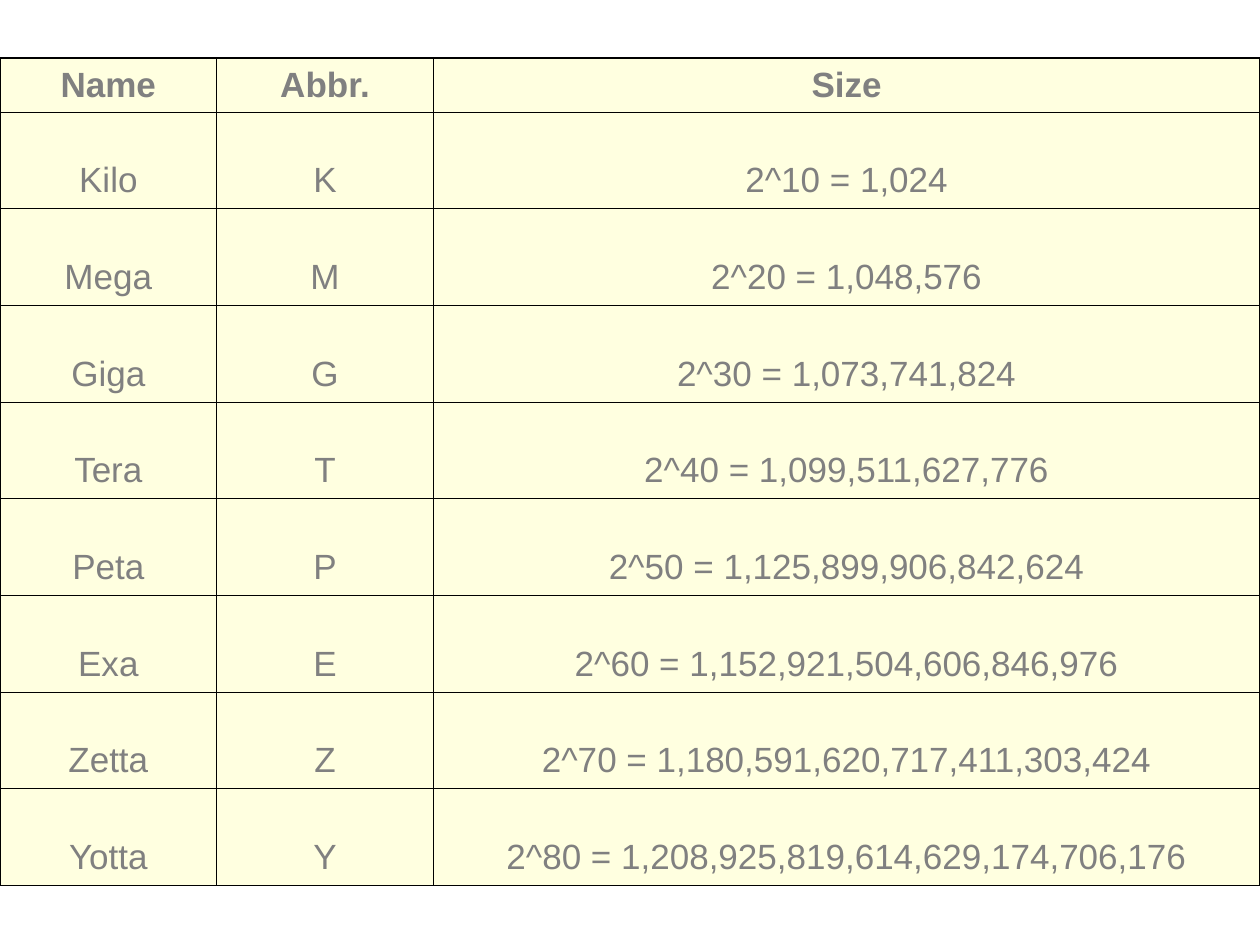
from dataclasses import dataclass

from lxml import etree
from pptx import Presentation
from pptx import util as u
from pptx.dml.color import RGBColor
from pptx.enum import text
from pptx.oxml import ns


@dataclass(frozen=True)
class Theme:
    font: str = "Arial"
    size: float = 20
    ink: str = "808080"
    fill: str = "FFFFE0"
    border: str = "000000"
    border_width: float = 0.75


class SlideBuilder:
    def __init__(self, slide, theme):
        self.slide = slide
        self.theme = theme

    def table(self, rows, left, top, widths, heights, body_top_margin):
        frame = self.slide.shapes.add_table(
            len(rows), len(widths), u.Inches(left), u.Inches(top),
            u.Inches(sum(widths)), u.Inches(sum(heights)))
        table = frame.table
        table.horz_banding = False
        for column, width in zip(table.columns, widths):
            column.width = u.Inches(width)
        for index, (row, height, values) in enumerate(zip(table.rows, heights, rows)):
            row.height = u.Inches(height)
            for cell, value in zip(row.cells, values):
                self.cell(cell, value, is_header=index == 0)
                if index:
                    cell.margin_top = u.Inches(body_top_margin)

    def cell(self, cell, value, is_header):
        cell.text = value
        cell.vertical_anchor = text.MSO_ANCHOR.MIDDLE
        paragraph = cell.text_frame.paragraphs[0]
        paragraph.alignment = text.PP_ALIGN.CENTER
        font = paragraph.runs[0].font
        formats = {"name": self.theme.font, "size": u.Pt(self.theme.size), "bold": is_header}
        for name, setting in formats.items():
            setattr(font, name, setting)
        font.color.rgb = RGBColor.from_string(self.theme.ink)
        self.borders(cell)
        cell.fill.solid()
        cell.fill.fore_color.rgb = RGBColor.from_string(self.theme.fill)

    def borders(self, cell):
        properties = cell._tc.get_or_add_tcPr()
        for side in ("a:lnL", "a:lnR", "a:lnT", "a:lnB"):
            line = etree.SubElement(properties, ns.qn(side), w=str(u.Pt(self.theme.border_width)))
            fill = etree.SubElement(line, ns.qn("a:solidFill"))
            etree.SubElement(fill, ns.qn("a:srgbClr"), val=self.theme.border)


def main():
    presentation = Presentation()
    presentation.slide_width = u.Inches(10)
    presentation.slide_height = u.Inches(7.5)
    slide = presentation.slides.add_slide(presentation.slide_layouts[6])

    prefixes = ["Kilo", "Mega", "Giga", "Tera", "Peta", "Exa", "Zetta", "Yotta"]
    rows = [("Name", "Abbr.", "Size")]
    for exponent, prefix in zip(range(10, 90, 10), prefixes):
        rows.append((prefix, prefix[0], f"2^{exponent} = {2 ** exponent:,}"))

    table_height, header_height = 6.57, 0.43
    body_height = (table_height - header_height) / len(prefixes)
    SlideBuilder(slide, Theme()).table(
        rows, left=0, top=0.46, widths=[1.72, 1.72, 6.56],
        heights=[header_height] + [body_height] * len(prefixes), body_top_margin=0.37)
    presentation.save("out.pptx")


if __name__ == "__main__":
    main()
